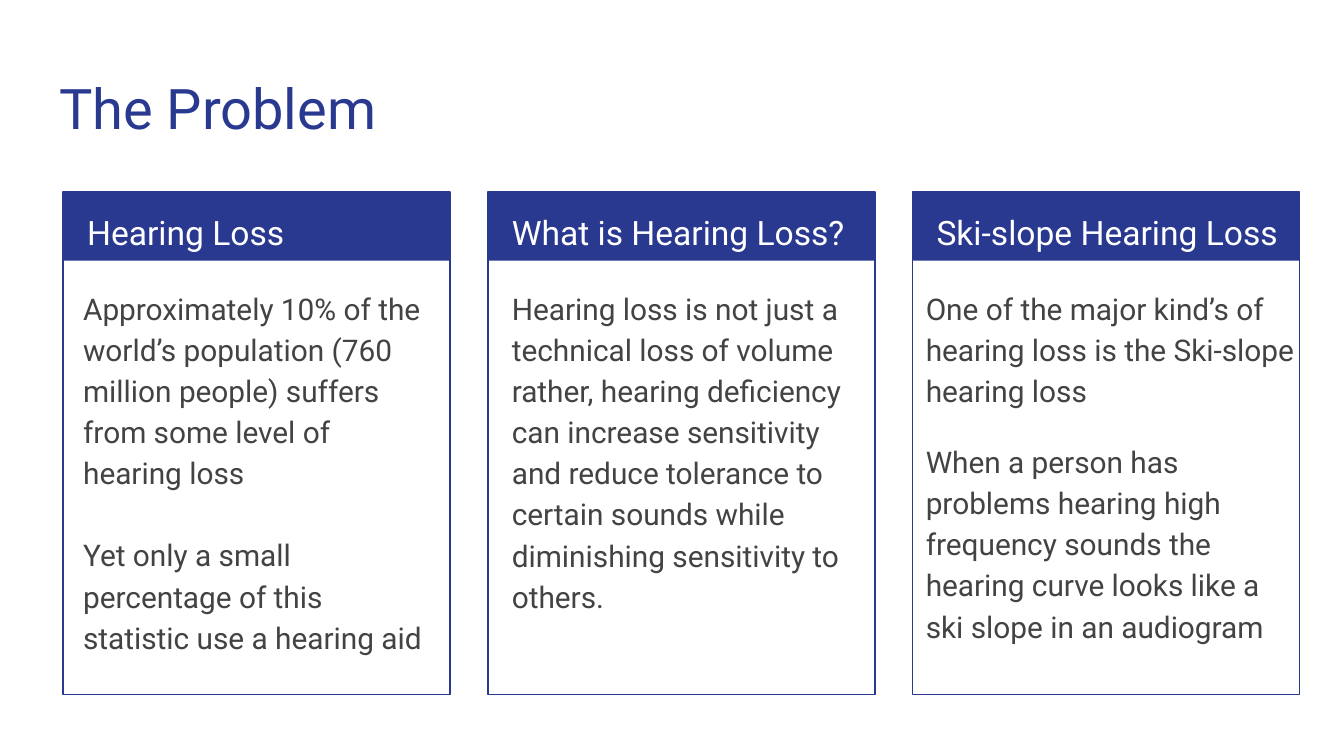
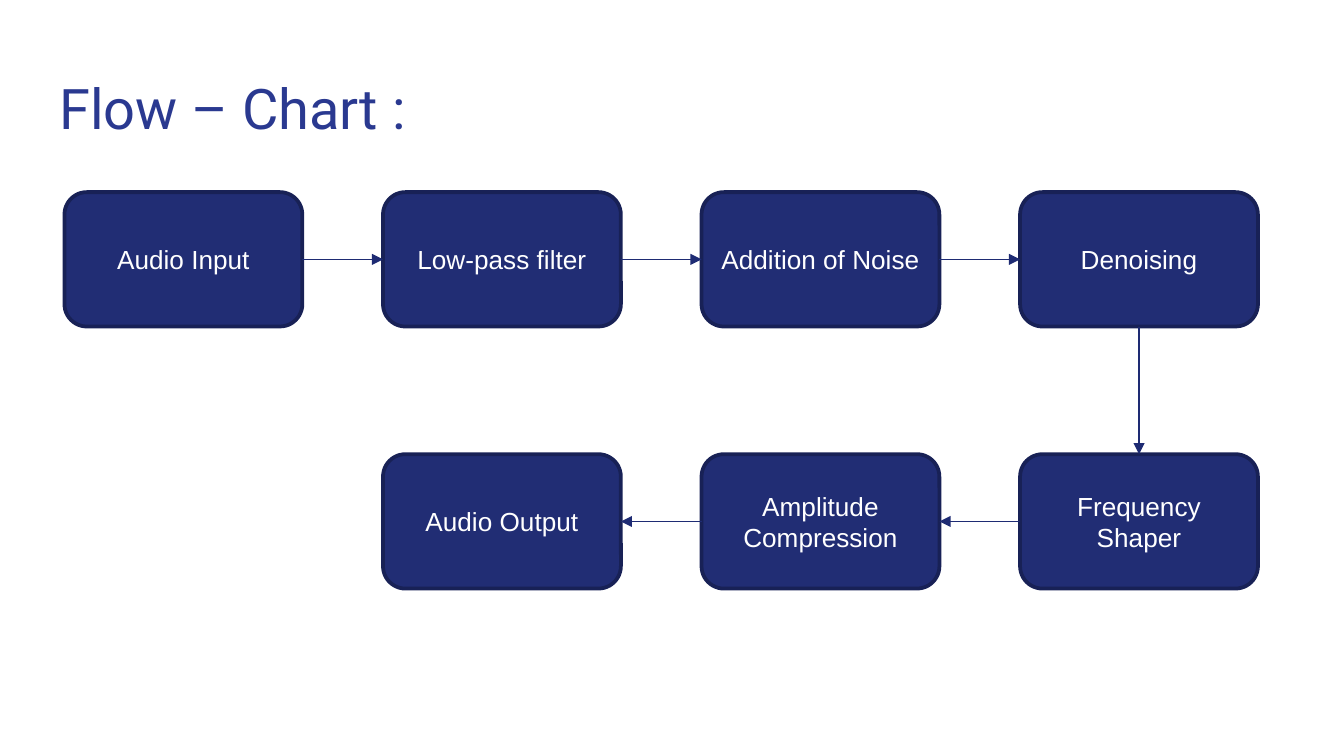
from lxml import etree
from pptx import Presentation
from pptx import util as u
from pptx.dml.color import RGBColor
from pptx.enum import shapes, text
from pptx.oxml.ns import qn

PX = 9144
SLIDE_WIDTH = 1000
NAVY, GREY, WHITE = "2A3990", "434343", "FFFFFF"
NODE_FILL, NODE_LINE, ARROW = "212D74", "182156", "1E2B73"
TITLE_BOX = (34, 45, 932, 66)

TITLE = {"name": "Roboto", "size": u.Pt(30), "color": NAVY}
HEADING = {"name": "Roboto", "size": u.Pt(18), "color": WHITE}
BODY = {"name": "Roboto", "size": u.Pt(16), "color": GREY}
NODE = {"name": "Arial", "size": u.Pt(14), "color": WHITE}
LEFT = {"alignment": text.PP_ALIGN.LEFT}
CENTER = {"alignment": text.PP_ALIGN.CENTER}
SPACED = {**LEFT, "line_spacing": 1.15}

CARD_TOP, CARD_WIDTH, CARD_HEIGHT, BAND_HEIGHT = 143, 288, 374, 51
CARDS = [
    {
        "left": 47, "heading": "Hearing Loss", "heading_width": 273,
        "body_inset": 5, "body_width": 279, "gap": {"space_after": u.Pt(22)},
        "body": [
            "Approximately 10% of the world’s population (760 million people) "
            "suffers from some level of hearing loss",
            "Yet only a small percentage of this statistic use a hearing aid",
        ],
    },
    {
        "left": 363, "heading": "What is Hearing Loss?", "heading_width": 273,
        "body_inset": 8, "body_width": 271, "gap": {},
        "body": [
            "Hearing loss is not just a technical loss of volume rather, hearing "
            "deficiency can increase sensitivity and reduce tolerance to certain "
            "sounds while diminishing sensitivity to others.",
        ],
    },
    {
        "left": 679, "heading": "Ski-slope Hearing Loss", "heading_width": 281,
        "body_inset": 0, "body_width": 296, "gap": {"space_after": u.Pt(16)},
        "body": [
            "One of the major kind’s of hearing loss is the Ski-slope hearing loss",
            "When a person has problems hearing high frequency sounds the hearing "
            "curve looks like a ski slope in an audiogram",
        ],
    },
]

NODE_WIDTH, NODE_HEIGHT, COLUMN_STEP, ROW_STEP = 177, 100, 237, 195
TOP, LEFT_SIDE, BOTTOM, RIGHT_SIDE = range(4)
STEPS = [
    ("Audio Input", 0, 0),
    ("Low-pass filter", 1, 0),
    ("Addition of Noise", 2, 0),
    ("Denoising", 3, 0),
    ("Frequency Shaper", 3, 1),
    ("Amplitude Compression", 2, 1),
    ("Audio Output", 1, 1),
]


def px(*lengths):
    """Turn pixel lengths into EMU."""
    return [u.Emu(length * PX) for length in lengths]


def color(value):
    """Turn a hex string into a colour."""
    return RGBColor.from_string(value)


def apply(target, formats):
    """Set attributes of an object from a dict."""
    for name, value in formats.items():
        setattr(target, name, value)


def write(shape, lines, font, layout, anchor=text.MSO_ANCHOR.TOP, inset=10):
    """Fill a shape with formatted paragraphs."""
    frame = shape.text_frame
    margin, = px(inset)
    apply(frame, {
        "word_wrap": True, "auto_size": text.MSO_AUTO_SIZE.NONE,
        "vertical_anchor": anchor, "margin_left": margin,
        "margin_right": margin, "margin_top": margin, "margin_bottom": margin,
    })
    for index, line in enumerate(lines):
        paragraph = frame.add_paragraph() if index else frame.paragraphs[0]
        apply(paragraph, layout)
        run = paragraph.add_run()
        run.text = line
        apply(run.font, {"name": font["name"], "size": font["size"]})
        run.font.color.rgb = color(font["color"])


def add_box(parent, kind, box, fill=None, line=None, width=0.75):
    """Add a preset shape with the given fill and outline."""
    shape = parent.shapes.add_shape(kind, *px(*box))
    shape.shadow.inherit = False
    if fill:
        shape.fill.solid()
        shape.fill.fore_color.rgb = color(fill)
    else:
        shape.fill.background()
    if line:
        shape.line.color.rgb = color(line)
        shape.line.width = u.Pt(width)
    else:
        shape.line.fill.background()
    return shape


def add_text(slide, box, lines, font, layout):
    """Add a text box."""
    write(slide.shapes.add_textbox(*px(*box)), lines, font, layout)


def add_slide(presentation, title):
    """Add a title-only slide with the shared title style."""
    slide = presentation.slides.add_slide(presentation.slide_layouts[5])
    placeholder = slide.shapes.title
    apply(placeholder, dict(zip(("left", "top", "width", "height"), px(*TITLE_BOX))))
    write(placeholder, [title], TITLE, LEFT)
    return slide


def add_card(slide, card, top):
    """Draw a framed card with a heading band and body text."""
    left = card["left"]
    frame = slide.shapes.add_group_shape()
    rectangle = shapes.MSO_SHAPE.RECTANGLE
    add_box(frame, rectangle, (left, top, CARD_WIDTH, BAND_HEIGHT), fill=NAVY)
    add_box(frame, rectangle, (left, top, CARD_WIDTH, CARD_HEIGHT), line=NAVY)
    add_text(slide, (left + 8, top, card["heading_width"], 50),
             [card["heading"]], HEADING, SPACED)
    add_text(slide, (left + card["body_inset"], top + 59, card["body_width"], 306),
             card["body"], BODY, {**SPACED, **card["gap"]})


def add_arrow(slide, start, start_side, end, end_side):
    """Join two nodes with an arrow."""
    arrow = slide.shapes.add_connector(shapes.MSO_CONNECTOR.STRAIGHT, 0, 0, 0, 0)
    arrow.begin_connect(start, start_side)
    arrow.end_connect(end, end_side)
    arrow.line.color.rgb = color(ARROW)
    arrow.line.width = u.Pt(0.75)
    properties = arrow._element.spPr
    etree.SubElement(properties.find(qn("a:ln")), qn("a:tailEnd"), type="triangle")
    etree.SubElement(properties, qn("a:effectLst"))


def add_flow(slide, left, top):
    """Draw the processing steps and the arrows between them."""
    nodes = []
    for label, column, row in STEPS:
        box = (left + column * COLUMN_STEP, top + row * ROW_STEP,
               NODE_WIDTH, NODE_HEIGHT)
        node = add_box(slide, shapes.MSO_SHAPE.ROUNDED_RECTANGLE, box,
                       NODE_FILL, NODE_LINE, 2)
        write(node, [label], NODE, CENTER, text.MSO_ANCHOR.MIDDLE, 5)
        nodes.append(node)
    for index, (start, end) in enumerate(zip(nodes, nodes[1:])):
        step = STEPS[index + 1][1] - STEPS[index][1]
        sides = {1: (RIGHT_SIDE, LEFT_SIDE), 0: (BOTTOM, TOP),
                 -1: (LEFT_SIDE, RIGHT_SIDE)}[step]
        add_arrow(slide, start, sides[0], end, sides[1])


def build_problem(presentation):
    """Build the slide with three cards."""
    slide = add_slide(presentation, "The Problem")
    for card in CARDS:
        add_card(slide, card, CARD_TOP)


def build_flow_chart(presentation):
    """Build the slide with the processing flow."""
    slide = add_slide(presentation, "Flow – Chart :")
    add_flow(slide, 48, 143)


def main():
    """Build and save the presentation."""
    presentation = Presentation()
    presentation.slide_width, = px(SLIDE_WIDTH)
    presentation.slide_height = presentation.slide_width * 9 // 16
    build_problem(presentation)
    build_flow_chart(presentation)
    presentation.save("out.pptx")


if __name__ == "__main__":
    main()
